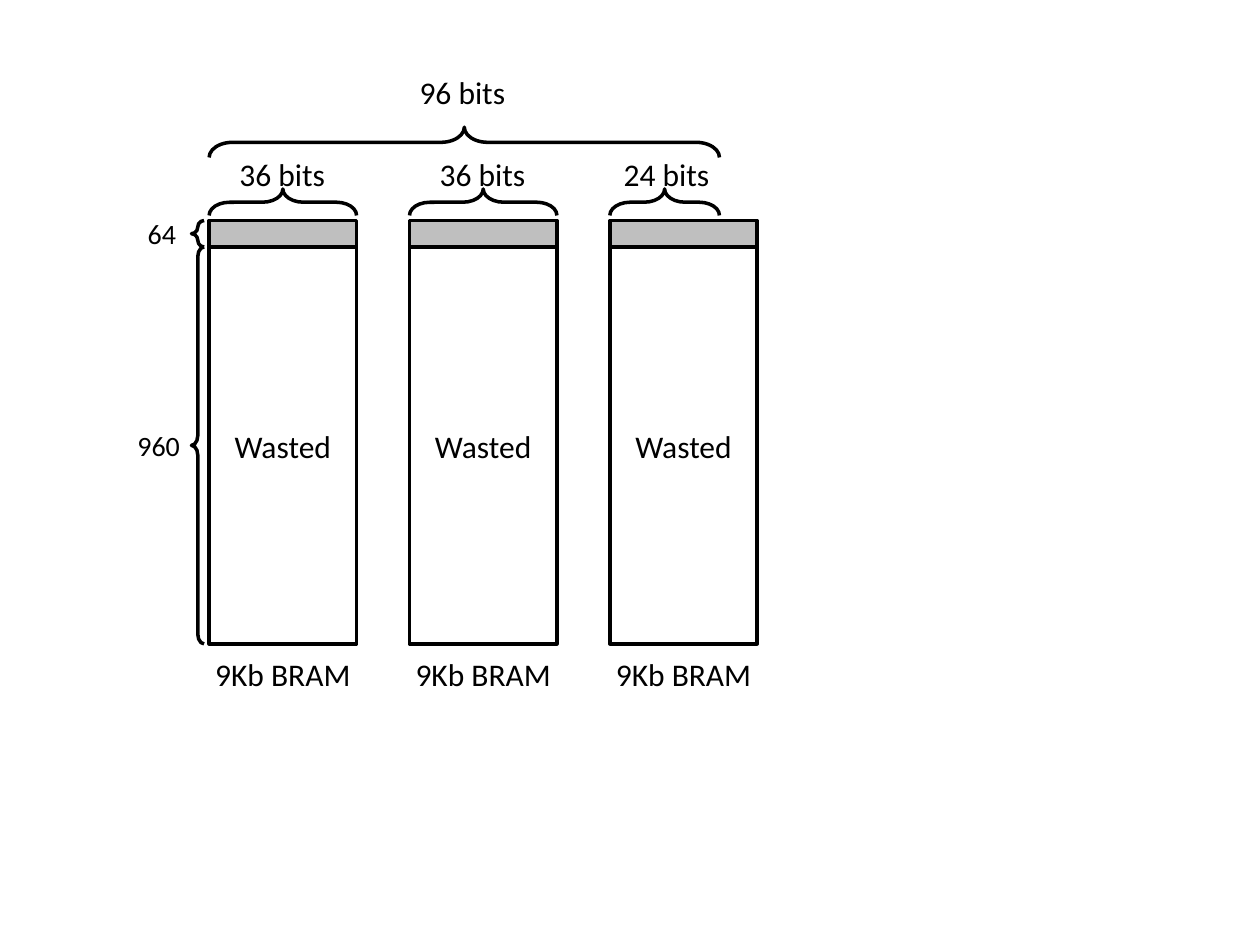
from pptx import Presentation
from pptx.dml.color import RGBColor
from pptx.enum.shapes import MSO_SHAPE as SHAPE
from pptx.enum.text import MSO_ANCHOR as ANCHOR, MSO_AUTO_SIZE as AUTO_SIZE, PP_ALIGN as ALIGN
from pptx.util import Inches, Pt


def add_outline(kind, x, y, w, h, fill=None):
    """Add a black-outlined shape, unfilled unless a hex fill is given."""
    s = slide.shapes.add_shape(kind, Inches(x), Inches(y), Inches(w), Inches(h))
    s.shadow.inherit = False
    if fill:
        s.fill.solid()
        s.fill.fore_color.rgb = RGBColor.from_string(fill)
    else:
        s.fill.background()
    s.line.color.rgb = RGBColor.from_string("000000")
    s.line.width = Pt(2)
    if kind == SHAPE.LEFT_BRACE:
        s.adjustments[0] = 0.772
    return s


def set_label(s, text, size=18):
    tf = s.text_frame
    tf.text = text
    p = tf.paragraphs[0]
    p.alignment = ALIGN.CENTER
    font = p.runs[0].font
    font.name = "Calibri"
    font.size = Pt(size)
    font.color.rgb = RGBColor.from_string("000000")


prs = Presentation()
prs.slide_width, prs.slide_height = Inches(10), Inches(7.5)
slide = prs.slides.add_slide(prs.slide_layouts[6])

LEFT, PITCH, WIDTH = 1.66, 1.59, 1.17
TOP, USED_H, WASTED_H = 1.75, 0.21, 3.15
SPLIT = TOP + USED_H
PART_W = 0.87  # width of the 24 bits used in the last block

labels = [("96 bits", 3.17, 0.53, 1, 0.4, 18),
          ("64", 1.05, 1.67, 0.47, 0.37, 16),
          ("960", 0.93, 3.35, 0.66, 0.37, 16)]
top_braces = [(LEFT, 1.01, 2 * PITCH + PART_W, 0.24)]

# Memory blocks
for i, (bits, used_w, bits_x) in enumerate([("36 bits", WIDTH, 1.74),
                                            ("36 bits", WIDTH, 3.33),
                                            ("24 bits", PART_W, 4.79)]):
    x = LEFT + i * PITCH
    add_outline(SHAPE.RECTANGLE, x, TOP, WIDTH, USED_H, "BFBFBF")
    wasted = add_outline(SHAPE.RECTANGLE, x, SPLIT, WIDTH, WASTED_H)
    wasted.text_frame.vertical_anchor = ANCHOR.MIDDLE
    set_label(wasted, "Wasted")
    top_braces.append((x, 1.5, used_w, 0.21))
    labels.append((bits, bits_x, 1.18, 1, 0.4, 18))
    labels.append(("9Kb BRAM", x - 0.17, 5.15, 1.51, 0.4, 18))

# Braces over the columns: left braces turned a quarter about their centre
for x, y, w, h in top_braces:
    brace = add_outline(SHAPE.LEFT_BRACE, x + (w - h) / 2, y + (h - w) / 2, h, w)
    brace.rotation = 90

# Braces beside the rows
for y, h in [(TOP, USED_H), (SPLIT, WASTED_H)]:
    add_outline(SHAPE.LEFT_BRACE, 1.52, y, 0.1, h)

for text, x, y, w, h, size in labels:
    box = slide.shapes.add_textbox(Inches(x), Inches(y), Inches(w), Inches(h))
    box.text_frame.word_wrap = True
    box.text_frame.auto_size = AUTO_SIZE.SHAPE_TO_FIT_TEXT
    set_label(box, text, size)

prs.save("out.pptx")
